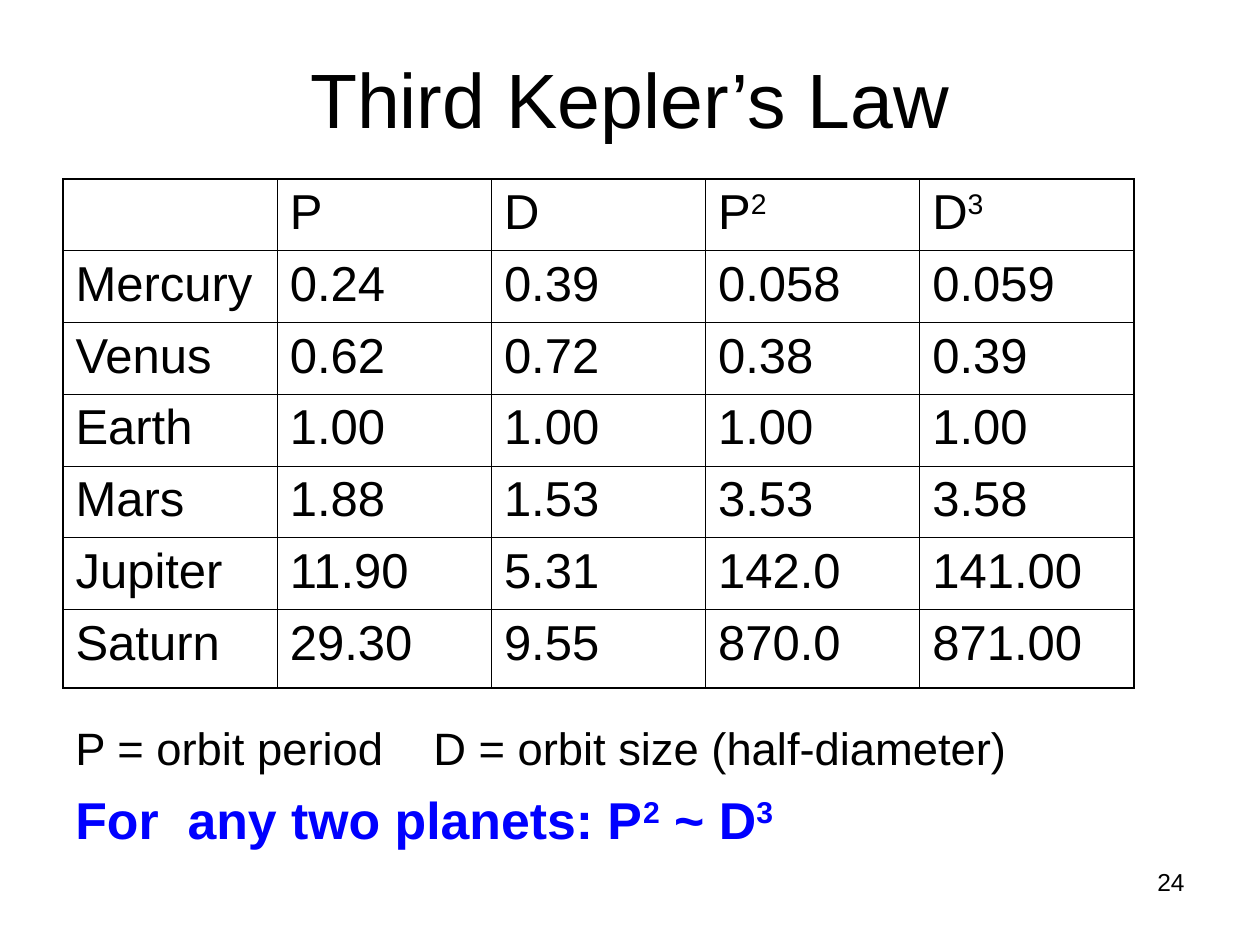
"""Build a slide on Kepler's third law with a table of planetary orbits."""
from dataclasses import dataclass

from lxml.etree import SubElement
from pptx import Presentation
from pptx.dml.color import RGBColor
from pptx.enum.text import MSO_ANCHOR, PP_ALIGN
from pptx.oxml.ns import qn
from pptx.util import Inches, Pt

BLACK = "000000"
BLUE = "0000FF"
THIN, THICK = 0.45, 1.08
COLUMN_WIDTH = 1.7
ROW_HEIGHT, LAST_ROW_HEIGHT = 0.57, 0.62

ORBITS = [
    ("", "P", "D", "P^2", "D^3"),
    ("Mercury", "0.24", "0.39", "0.058", "0.059"),
    ("Venus", "0.62", "0.72", "0.38", "0.39"),
    ("Earth", "1.00", "1.00", "1.00", "1.00"),
    ("Mars", "1.88", "1.53", "3.53", "3.58"),
    ("Jupiter", "11.90", "5.31", "142.0", "141.00"),
    ("Saturn", "29.30", "9.55", "870.0", "871.00"),
]


@dataclass
class Line:
    text: str
    size: float
    color: str = BLACK
    bold: bool = False
    align: PP_ALIGN = PP_ALIGN.LEFT
    space_before: float = 0
    tab: float = 0


@dataclass
class TextBlock:
    left: float
    top: float
    width: float
    height: float
    lines: list[Line]
    anchor: MSO_ANCHOR = MSO_ANCHOR.TOP


BLOCKS = [
    TextBlock(7.17, 6.83, 2.33, 0.52, [Line("24", 14, align=PP_ALIGN.RIGHT)]),
    TextBlock(0.5, 0.3, 9, 0.95,
              [Line("Third Kepler’s Law", 44, align=PP_ALIGN.CENTER)],
              MSO_ANCHOR.MIDDLE),
    TextBlock(0.5, 5.67, 9.08, 1.17, [
        Line("P = orbit period\tD = orbit size (half-diameter)", 25.9, tab=2.84),
        Line("For  any two planets: P^2^ ~ D^3", 29.6, BLUE, True, space_before=7),
    ]),
]


def rgb(value: str) -> RGBColor:
    """Turn a hex string into a colour."""
    return RGBColor.from_string(value)


def write_line(p, line: Line) -> None:
    """Fill a paragraph, raising every second piece between carets."""
    p.alignment = line.align
    p.space_before = Pt(line.space_before)
    if line.tab:
        tabs = SubElement(p._p.get_or_add_pPr(), qn("a:tabLst"))
        SubElement(tabs, qn("a:tab"), pos=str(Inches(line.tab)), algn="l")
    for i, piece in enumerate(line.text.split("^")):
        r = p.add_run()
        r.text = piece
        r.font.name = "Arial"
        r.font.size = Pt(line.size)
        r.font.bold = line.bold
        r.font.color.rgb = rgb(line.color)
        if i % 2:
            r._r.get_or_add_rPr().set("baseline", "30000")


def add_text(s, block: TextBlock) -> None:
    """Add a text box with one paragraph per line."""
    sp = s.shapes.add_textbox(Inches(block.left), Inches(block.top),
                              Inches(block.width), Inches(block.height))
    tf = sp.text_frame
    tf.word_wrap = True
    tf.vertical_anchor = block.anchor
    for i, line in enumerate(block.lines):
        write_line(tf.add_paragraph() if i else tf.paragraphs[0], line)


def set_borders(cell, widths: dict[str, float]) -> None:
    """Draw the cell's edges ahead of its fill, as the schema requires."""
    tc_pr = cell._tc.get_or_add_tcPr()
    for i, (side, width) in enumerate(widths.items()):
        ln = SubElement(tc_pr, qn(f"a:ln{side}"), w=str(Pt(width)))
        fill = SubElement(ln, qn("a:solidFill"))
        SubElement(fill, qn("a:srgbClr"), val=BLACK)
        tc_pr.insert(i, ln)


def add_orbit_table(s) -> None:
    """Add the orbit table with a thick frame and thin inner lines."""
    n_rows, n_cols = len(ORBITS), len(ORBITS[0])
    height = ROW_HEIGHT * (n_rows - 1) + LAST_ROW_HEIGHT
    table = s.shapes.add_table(n_rows, n_cols, Inches(0.5), Inches(1.42),
                               Inches(COLUMN_WIDTH * n_cols), Inches(height)).table
    table.first_row = table.horz_banding = False
    for column in table.columns:
        column.width = Inches(COLUMN_WIDTH)
    for i, values in enumerate(ORBITS):
        last_row = i == n_rows - 1
        table.rows[i].height = Inches(LAST_ROW_HEIGHT if last_row else ROW_HEIGHT)
        for j, value in enumerate(values):
            cell = table.cell(i, j)
            cell.fill.background()
            outer = {"L": j == 0, "R": j == n_cols - 1, "T": i == 0, "B": last_row}
            set_borders(cell, {k: THICK if v else THIN for k, v in outer.items()})
            if value:
                write_line(cell.text_frame.paragraphs[0],
                           Line(value, 28, space_before=7))


def main() -> None:
    """Build and save the slide."""
    prs = Presentation()
    prs.slide_width, prs.slide_height = Inches(10), Inches(7.5)
    s = prs.slides.add_slide(prs.slide_layouts[6])
    add_orbit_table(s)
    for block in BLOCKS:
        add_text(s, block)
    prs.save("out.pptx")


if __name__ == "__main__":
    main()
